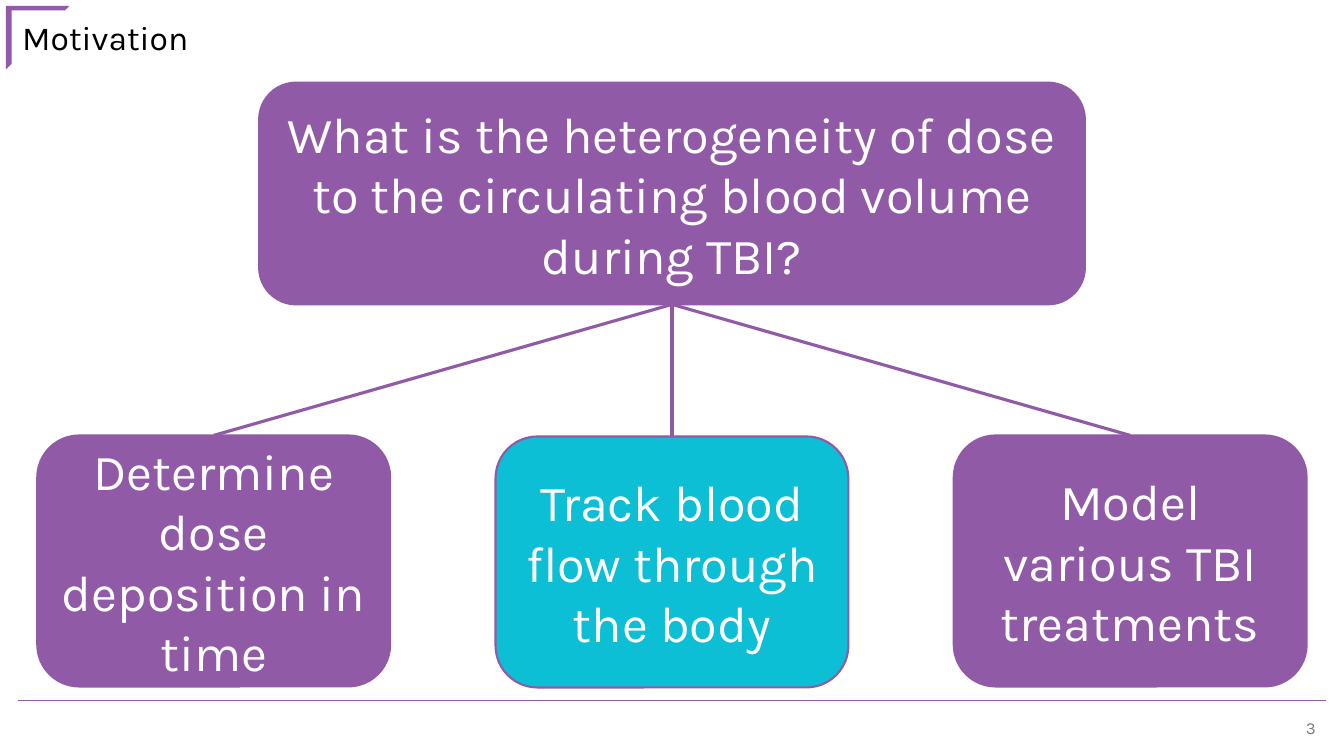
import pptx
import pptx.util
import pptx.dml.color
import pptx.enum.shapes
import pptx.enum.text
import pptx.oxml

Inches = pptx.util.Inches
Pt = pptx.util.Pt
Align = pptx.enum.text.PP_ALIGN
Anchor = pptx.enum.text.MSO_ANCHOR
Shape = pptx.enum.shapes.MSO_SHAPE
Line = pptx.enum.shapes.MSO_CONNECTOR

# Content
TITLE = "Motivation"
NUMBER = "3"
QUESTION = "What is the heterogeneity of dose to the circulating blood volume during TBI?"
PURPLE, TEAL = "905AA6", "0DBFD5"
AIMS = [
    ("Determine dose deposition in time", PURPLE, 4.32),
    ("Track blood flow through the body", TEAL, 4.33),
    ("Model various TBI treatments", PURPLE, 4.32),
]
FONT = "Karla"
LEFT, STEP, WIDE, HIGH = 0.37, 4.545, 3.5, 2.49


def color(code):
    return pptx.dml.color.RGBColor.from_string(code)


def write(shape, text, size, code, align, anchor):
    frame = shape.text_frame
    frame.word_wrap = True
    frame.auto_size = pptx.enum.text.MSO_AUTO_SIZE.NONE
    frame.vertical_anchor = anchor
    para = frame.paragraphs[0]
    para.alignment = align
    run = para.add_run()
    run.text = text
    run.font.name = FONT
    run.font.size = Pt(size)
    run.font.color.rgb = color(code)


def add_box(text, fill, *place):
    box = slide.shapes.add_shape(Shape.ROUNDED_RECTANGLE, *map(Inches, place))
    box.shadow.inherit = False
    box.fill.solid()
    box.fill.fore_color.rgb = color(fill)
    box.line.color.rgb = color(PURPLE)
    box.line.width = Pt(1.5)
    write(box, text, 36, "FFFFFF", Align.CENTER, Anchor.MIDDLE)
    return box


def add_line(width, *ends):
    line = slide.shapes.add_connector(Line.STRAIGHT, *map(Inches, ends))
    line.line.color.rgb = color(PURPLE)
    line.line.width = Pt(width)
    props = line._element.spPr
    props.append(pptx.oxml.parse_xml(
        '<a:effectLst xmlns:a="http://schemas.openxmlformats.org/drawingml/2006/main"/>'))
    return line


deck = pptx.Presentation()
deck.slide_width, deck.slide_height = Inches(13.33), Inches(7.5)
slide = deck.slides.add_slide(deck.slide_layouts[5])

# Title with its corner mark
title = slide.shapes.title
title.left, title.top = Inches(0.12), Inches(0.12)
title.width, title.height = Inches(6.12), Inches(0.5)
write(title, TITLE, 24, "000000", Align.LEFT, Anchor.TOP)

mark = slide.shapes.add_shape(Shape.HALF_FRAME, *map(Inches, (0.06, 0.06, 0.63, 0.63)))
mark.shadow.inherit = False
mark.adjustments[0], mark.adjustments[1] = 0.071, 0.088
mark.fill.solid()
mark.fill.fore_color.rgb = color(PURPLE)
mark.line.fill.background()

# Footer rule and page number
add_line(1, 0.18, 6.95, 13.15, 6.95)
page = slide.shapes.add_textbox(*map(Inches, (10.15, 7.02, 3, 0.4)))
write(page, NUMBER, 12, "797979", Align.RIGHT, Anchor.MIDDLE)

# Question, and the aims joined to it (sites: 0 top, 2 bottom)
root = add_box(QUESTION, PURPLE, 2.57, 0.82, 8.19, 2.2)
for i, (text, fill, top) in enumerate(AIMS):
    aim = add_box(text, fill, LEFT + i * STEP, top, WIDE, HIGH)
    link = add_line(2.25, 0, 0, 1, 1)
    link.begin_connect(aim, 0)
    link.end_connect(root, 2)

deck.save("out.pptx")
